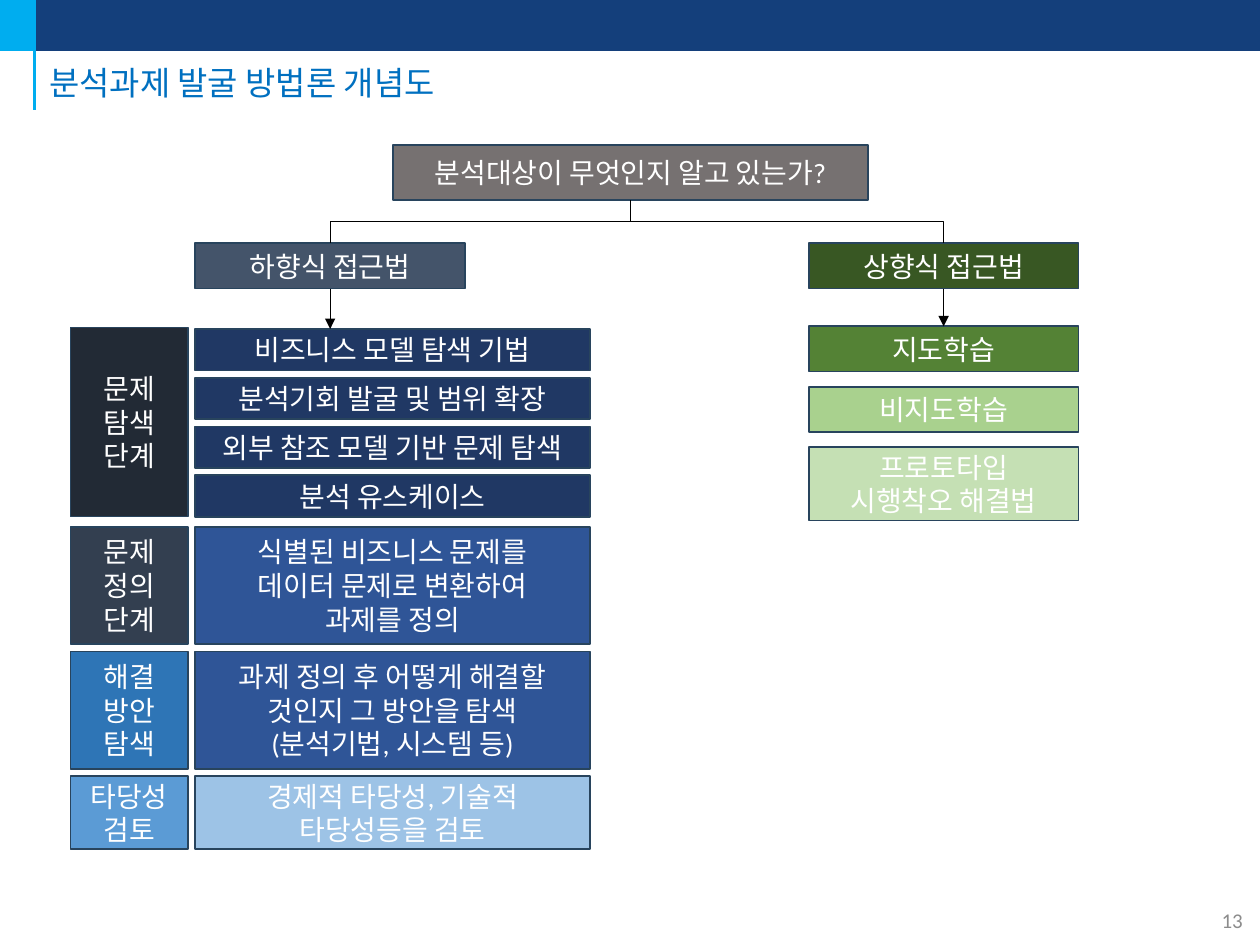
import pptx
import pptx.util
import pptx.dml.color
import pptx.enum.shapes
import pptx.enum.text
import pptx.oxml
import pptx.oxml.ns

Pt = pptx.util.Pt
qn = pptx.oxml.ns.qn
ALIGN = pptx.enum.text.PP_ALIGN
CONN = pptx.enum.shapes.MSO_CONNECTOR
LATIN, KOREAN = "Calibri", "Noto Sans CJK KR"
NAVY, CYAN, OUTLINE = "143F7B", "00ADEF", "28445D"


def rgb(value):
    return pptx.dml.color.RGBColor.from_string(value)


def drawing_xml(tag, attributes=""):
    return pptx.oxml.parse_xml(
        f'<a:{tag} {pptx.oxml.ns.nsdecls("a")} {attributes}/>')


class Deck:
    """Holds the style and the current slide; lengths are in points."""

    def __init__(self, prs):
        self.s = prs.slides.add_slide(prs.slide_layouts[5])

    def set_text(self, sp, text, size, color, align=ALIGN.CENTER, latin=LATIN):
        tf = sp.text_frame
        tf.text = text
        tf.word_wrap = True
        tf.auto_size = pptx.enum.text.MSO_AUTO_SIZE.NONE
        tf.vertical_anchor = pptx.enum.text.MSO_ANCHOR.MIDDLE
        for p in tf.paragraphs:
            p.alignment = align
            for r in p.runs:
                r.font.size = Pt(size)
                r.font.name = latin
                r.font.color.rgb = rgb(color)
                r._r.rPr.find(qn("a:latin")).addnext(
                    drawing_xml("ea", f'typeface="{KOREAN}"'))

    def title(self, text, x, y, w, h):
        sp = self.s.shapes.title
        sp.left, sp.top, sp.width, sp.height = Pt(x), Pt(y), Pt(w), Pt(h)
        self.set_text(sp, text, 18.8, "0070C0", ALIGN.LEFT, KOREAN)
        sp.text_frame.paragraphs[0].line_spacing = 0.9

    def label(self, text, x, y, w, h):
        sp = self.s.shapes.add_textbox(Pt(x), Pt(y), Pt(w), Pt(h))
        self.set_text(sp, text, 12, "8C8C8C")

    def box(self, x, y, w, h, fill, text="", line=OUTLINE):
        sp = self.s.shapes.add_shape(
            pptx.enum.shapes.MSO_SHAPE.RECTANGLE, Pt(x), Pt(y), Pt(w), Pt(h))
        sp.shadow.inherit = False
        sp.fill.solid()
        sp.fill.fore_color.rgb = rgb(fill)
        sp.line.color.rgb = rgb(line)
        sp.line.width = Pt(1)
        if text:
            self.set_text(sp, text, 16, "FFFFFF")

    def line(self, x1, y1, x2, y2, color="000000", width=0.5, arrow=False,
             kind=CONN.STRAIGHT):
        sp = self.s.shapes.add_connector(kind, Pt(x1), Pt(y1), Pt(x2), Pt(y2))
        sp.line.color.rgb = rgb(color)
        sp.line.width = Pt(width)
        sp_pr = sp._element.spPr
        if arrow:
            sp_pr.find(qn("a:ln")).append(
                drawing_xml("tailEnd", 'type="triangle"'))
        sp_pr.append(drawing_xml("effectLst"))
        return sp

    def branch(self, x1, y1, x2, y2):
        """Elbow that leaves downwards: a quarter-turned connector."""
        cx, cy = (x1 + x2) / 2, (y1 + y2) / 2
        side = 1 if x2 < x1 else -1
        dx, dy = side * (y2 - y1) / 2, abs(x2 - x1) / 2
        sp = self.line(cx - dx, cy - dy, cx + dx, cy + dy, kind=CONN.ELBOW)
        turn = 90 if side == 1 else 270
        sp._element.spPr.find(qn("a:xfrm")).set("rot", str(turn * 60000))


def main():
    prs = pptx.Presentation()
    prs.slide_width, prs.slide_height = Pt(720), Pt(540)
    deck = Deck(prs)

    # Header band, title and page number
    deck.box(0, 0, 720, 28.8, NAVY, line=NAVY)
    deck.box(0, 0, 18.8, 28.8, CYAN, line=CYAN)
    deck.line(19.6, 62.6, 19.6, 0, CYAN, 1.5)
    deck.title("분석과제 발굴 방법론 개념도", 20.9, 32.4, 698.4, 31.7)
    deck.label("13", 689, 511.2, 30.2, 28.8)

    # Question and the two approaches
    stage_x, stage_w = 40.3, 67
    left_x, left_w = 111.6, 225.4
    right_x, head_w, head_h = 462.2, 154.1, 25.9
    head_y = 139
    deck.box(224.6, 82.8, 271.4, 31.7, "767171", "분석대상이 무엇인지 알고 있는가?")
    deck.box(left_x, head_y, head_w, head_h, "44546A", "하향식 접근법")
    deck.box(right_x, head_y, head_w, head_h, "385723", "상향식 접근법")

    # Bottom-up methods
    methods = [("지도학습", "548235", 25.9), ("비지도학습", "A9D18E", 25.9),
               ("프로토타입\n시행착오 해결법", "C5E0B4", 41.8)]
    for i, (text, fill, h) in enumerate(methods):
        deck.box(right_x, 186.5 + 34.56 * i, head_w, h, fill, text)

    # Top-down search techniques
    techniques = ["비즈니스 모델 탐색 기법", "분석기회 발굴 및 범위 확장",
                  "외부 참조 모델 기반 문제 탐색", "분석 유스케이스"]
    for i, text in enumerate(techniques):
        deck.box(left_x, 188 + 27.85 * i, left_w, 23.8, "203864", text)

    # Top-down stages: top, height, stage and its fill, content and its fill
    stages = [
        (187.2, 108, "문제\n탐색\n단계", "222A35", "", ""),
        (301, 67, "문제\n정의\n단계", "333F50",
         "식별된 비즈니스 문제를\n데이터 문제로 변환하여\n과제를 정의", "2F5597"),
        (372.3, 67, "해결\n방안\n탐색", "2E75B6",
         "과제 정의 후 어떻게 해결할 것인지 그 방안을 탐색\n(분석기법, 시스템 등)",
         "2F5597"),
        (443.5, 41.8, "타당성검토", "5B9BD5",
         "경제적 타당성, 기술적 타당성등을 검토", "9DC3E6"),
    ]
    for y, h, stage, stage_fill, content, fill in stages:
        deck.box(stage_x, y, stage_w, h, stage_fill, stage)
        if content:
            deck.box(left_x, y, left_w, h, fill, content)

    # Connectors
    for x, first_y in ((left_x, 188), (right_x, 186.5)):
        mid = x + head_w / 2
        deck.branch(360, 114.5, mid, head_y)
        deck.line(mid, head_y + head_h, mid, first_y, arrow=True)

    prs.save("out.pptx")


if __name__ == "__main__":
    main()
